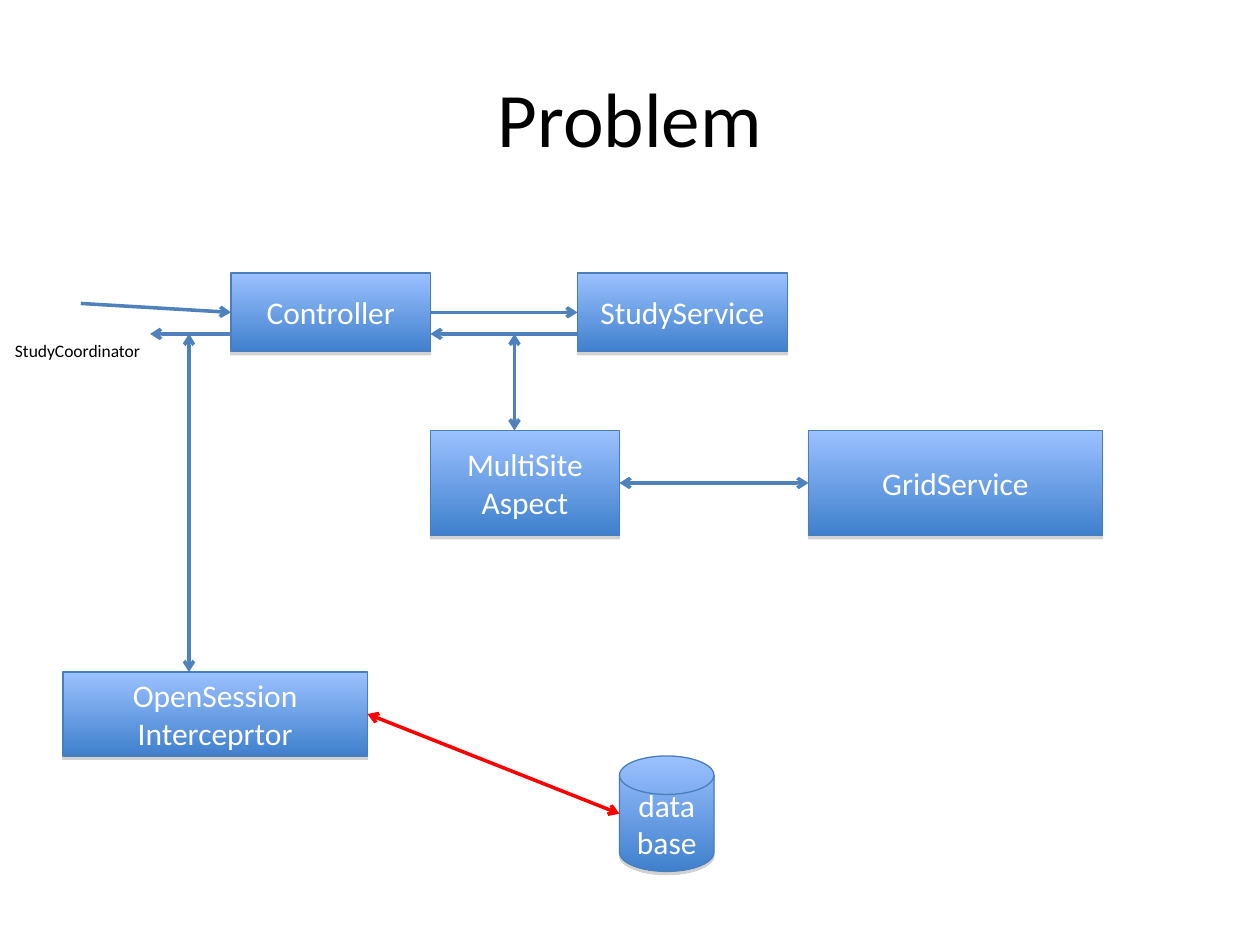
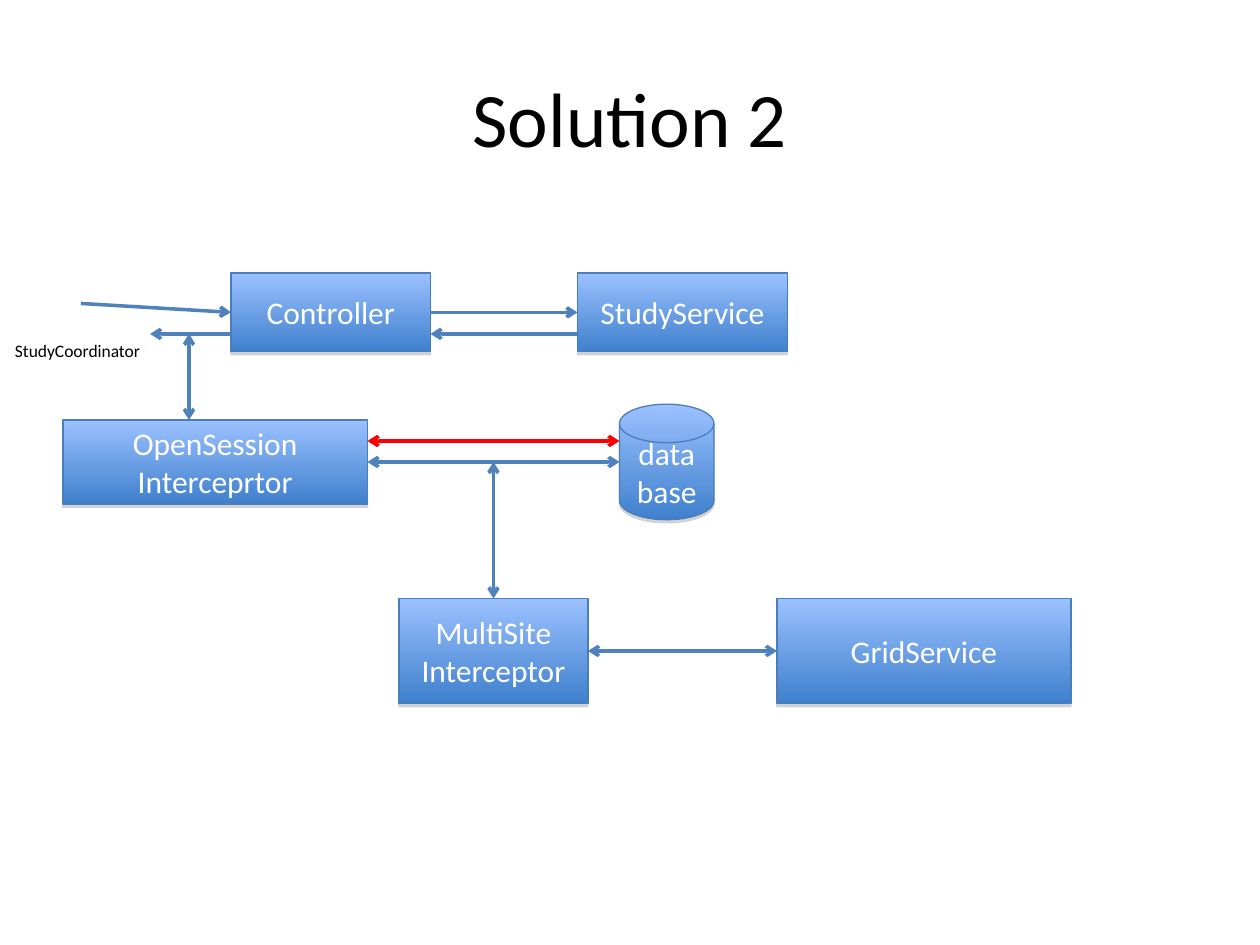
import lxml.etree
import pptx
import pptx.dml.color
import pptx.enum.shapes
import pptx.enum.text
import pptx.oxml.ns
import pptx.shapes.autoshape
import pptx.util

RGBColor = pptx.dml.color.RGBColor
BLACK = RGBColor(0x00, 0x00, 0x00)
WHITE = RGBColor(0xFF, 0xFF, 0xFF)
FILL_TOP = RGBColor(0x9B, 0xC1, 0xFF)
FILL_BOTTOM = RGBColor(0x3F, 0x80, 0xCD)
OUTLINE = RGBColor(0x4A, 0x7E, 0xBB)
CALL_BLUE = RGBColor(0x4F, 0x81, 0xBD)
SESSION_RED = RGBColor(0xFF, 0x00, 0x00)
SHADOW_GREY = RGBColor(0x80, 0x80, 0x80)

FONT = "Calibri"
SLIDE_WIDTH = pptx.util.Inches(10)
SLIDE_HEIGHT = pptx.util.Inches(7.5)
CELL = SLIDE_WIDTH // 120  # the grid has 120 columns and 90 rows

RECTANGLE = pptx.enum.shapes.MSO_SHAPE.RECTANGLE
DISK = pptx.enum.shapes.MSO_SHAPE.FLOWCHART_MAGNETIC_DISK
LEFT_SIDE, RIGHT_SIDE, TOP_SIDE = 1, 3, 0
FLOW_TOP = 26
RETURN_ROW = FLOW_TOP + 5.8


def cells(*counts):
    return [round(count * CELL) for count in counts]


def add_child(parent, tag, **attributes):
    child = lxml.etree.SubElement(parent, pptx.oxml.ns.qn(tag))
    for name, value in attributes.items():
        child.set(name, str(value))
    return child


def write(text_frame, lines, size, color, alignment):
    for index, line in enumerate(lines):
        paragraph = text_frame.add_paragraph() if index else text_frame.paragraphs[0]
        paragraph.alignment = alignment
        run = paragraph.add_run()
        run.text = line
        run.font.name = FONT
        run.font.size = pptx.util.Pt(size)
        run.font.color.rgb = color


def add_node(slide, lines, left, top, width, height, kind=RECTANGLE):
    """Add a component with gradient fill, outline and a thin shadow below."""
    shape = slide.shapes.add_shape(kind, *cells(left, top, width, height))
    shape.fill.gradient()
    shape.fill.gradient_angle = 270
    for stop, color in zip(shape.fill.gradient_stops, (FILL_TOP, FILL_BOTTOM)):
        stop.color.rgb = color
    shape.line.color.rgb = OUTLINE
    shape.line.width = pptx.util.Pt(0.75)

    shape.shadow.inherit = False
    effects = shape.element.spPr.find(pptx.oxml.ns.qn("a:effectLst"))
    shadow = add_child(effects, "a:outerShdw", blurRad=0, dist=pptx.util.Pt(1.8),
                       dir=90 * 60000, rotWithShape=0)
    shadow_color = add_child(shadow, "a:srgbClr", val=SHADOW_GREY)
    add_child(shadow_color, "a:alpha", val=35000)

    shape.text_frame.word_wrap = True
    shape.text_frame.vertical_anchor = pptx.enum.text.MSO_ANCHOR.MIDDLE
    write(shape.text_frame, lines, 18, WHITE, pptx.enum.text.PP_ALIGN.CENTER)
    return shape


def add_arrow(slide, start, end, color=CALL_BLUE, two_way=False):
    """Draw an arrow; each end is a (column, row) or a (shape, side)."""
    def is_joined(place):
        return isinstance(place[0], pptx.shapes.autoshape.Shape)

    points = [(0, 0) if is_joined(place) else place for place in (start, end)]
    connector = slide.shapes.add_connector(
        pptx.enum.shapes.MSO_CONNECTOR.STRAIGHT, *cells(*points[0], *points[1]))
    if is_joined(start):
        connector.begin_connect(*start)
    if is_joined(end):
        connector.end_connect(*end)
    connector.line.color.rgb = color
    connector.line.width = pptx.util.Pt(2)
    properties = connector.element.spPr
    line = properties.find(pptx.oxml.ns.qn("a:ln"))
    if two_way:
        add_child(line, "a:headEnd", type="arrow")
    add_child(line, "a:tailEnd", type="arrow")
    add_child(properties, "a:effectLst")


def add_titled_slide(presentation, title):
    slide = presentation.slides.add_slide(presentation.slide_layouts[5])
    placeholder = slide.shapes.title
    placeholder.left, placeholder.top, placeholder.width, placeholder.height = cells(
        6, 3.6, 108, 15)
    placeholder.text_frame.vertical_anchor = pptx.enum.text.MSO_ANCHOR.MIDDLE
    write(placeholder.text_frame, [title], 44, BLACK, pptx.enum.text.PP_ALIGN.CENTER)
    return slide


def add_request_flow(slide, left, top):
    """Coordinator, controller and service, with calls and replies between."""
    label = slide.shapes.add_textbox(*cells(left + 0.24, top + 5.8, 14.8, 3.2))
    label.text_frame.word_wrap = True
    label.text_frame.auto_size = pptx.enum.text.MSO_AUTO_SIZE.SHAPE_TO_FIT_TEXT
    write(label.text_frame, ["StudyCoordinator"], 10, BLACK, pptx.enum.text.PP_ALIGN.LEFT)

    controller = add_node(slide, ["Controller"], left + 22, top, 19, 7.5)
    service = add_node(slide, ["StudyService"], left + 55, top, 20, 7.5)

    # Calls to the right, replies to the left
    add_arrow(slide, (left + 7.7, top + 2.9), (controller, LEFT_SIDE))
    add_arrow(slide, (controller, RIGHT_SIDE), (service, LEFT_SIDE))
    reply_row = top + 5.8
    add_arrow(slide, (left + 55, reply_row), (left + 41, reply_row))
    add_arrow(slide, (left + 22, reply_row), (left + 14.3, reply_row))


def add_session(slide, left, top, disk_top):
    """Session interceptor, hooked to the reply line, and the database."""
    interceptor = add_node(slide, ["OpenSession", "Interceprtor"], left, top, 29, 8)
    add_node(slide, ["database"], left + 53, disk_top, 9, 11, DISK)
    add_arrow(slide, (left + 12, RETURN_ROW), (left + 12, top), two_way=True)
    return interceptor


def add_grid_access(slide, lines, left, top):
    """Multi-site component and the grid service it talks to."""
    multi_site = add_node(slide, lines, left, top, 18, 10)
    grid_service = add_node(slide, ["GridService"], left + 36, top, 28, 10)
    add_arrow(slide, (multi_site, RIGHT_SIDE), (grid_service, LEFT_SIDE), two_way=True)
    return multi_site


def build_problem(presentation):
    slide = add_titled_slide(presentation, "Problem")
    add_request_flow(slide, 0, FLOW_TOP)
    add_grid_access(slide, ["MultiSite Aspect"], 41, 41)
    add_arrow(slide, (49, RETURN_ROW), (49, 41), two_way=True)
    interceptor = add_session(slide, 6, 64, disk_top=72)
    add_arrow(slide, (interceptor, RIGHT_SIDE), (59, 77.5), SESSION_RED, two_way=True)


def build_solution(presentation):
    slide = add_titled_slide(presentation, "Solution 2")
    add_request_flow(slide, 0, FLOW_TOP)
    add_session(slide, 6, 40, disk_top=38.5)
    # Session line above, intercepted line below
    for row, color in ((42, SESSION_RED), (44, CALL_BLUE)):
        add_arrow(slide, (35, row), (59, row), color, two_way=True)
    multi_site = add_grid_access(slide, ["MultiSite Interceptor"], 38, 57)
    add_arrow(slide, (multi_site, TOP_SIDE), (47, 44), two_way=True)


def main():
    presentation = pptx.Presentation()
    presentation.slide_width = SLIDE_WIDTH
    presentation.slide_height = SLIDE_HEIGHT
    build_problem(presentation)
    build_solution(presentation)
    presentation.save("out.pptx")


if __name__ == "__main__":
    main()
